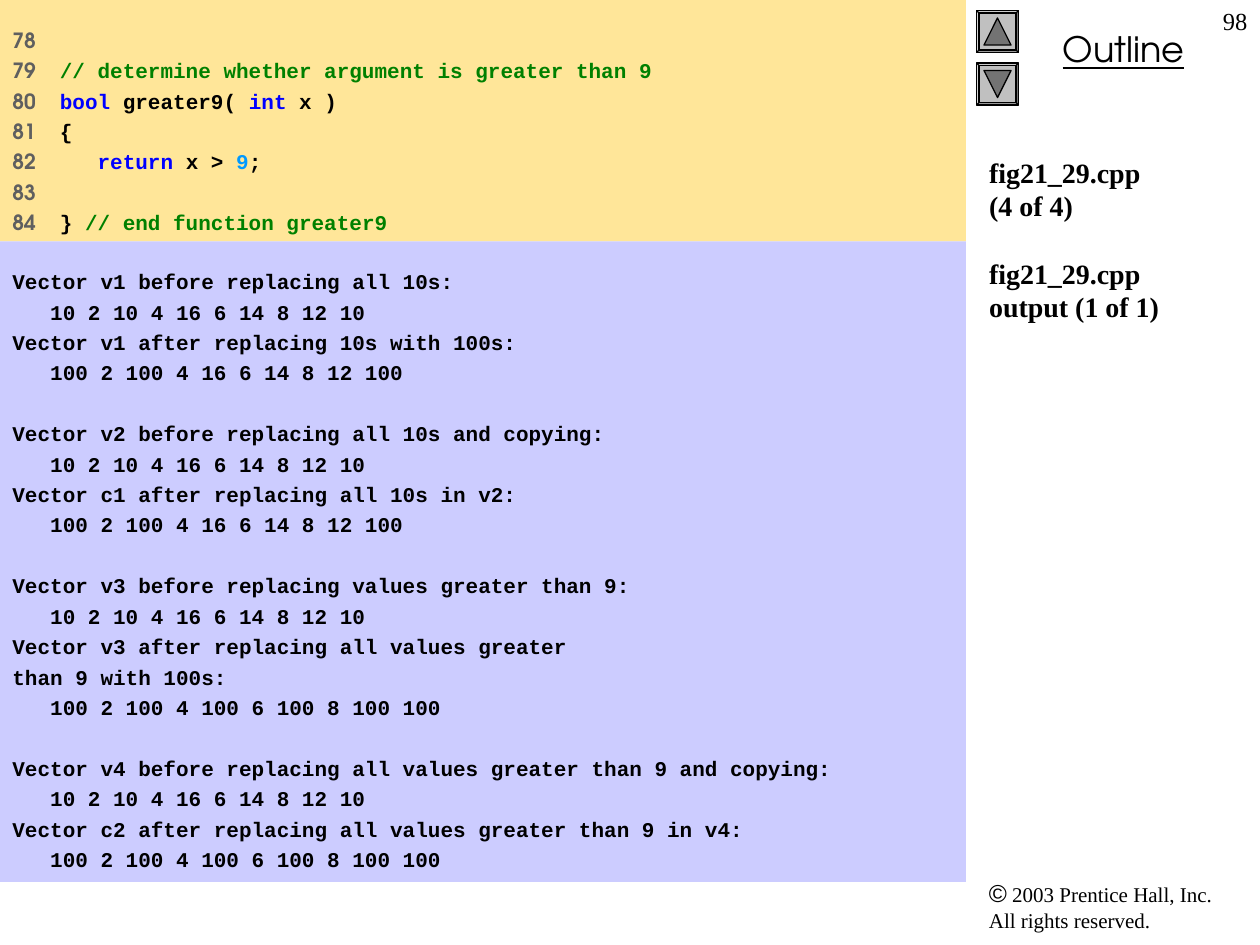
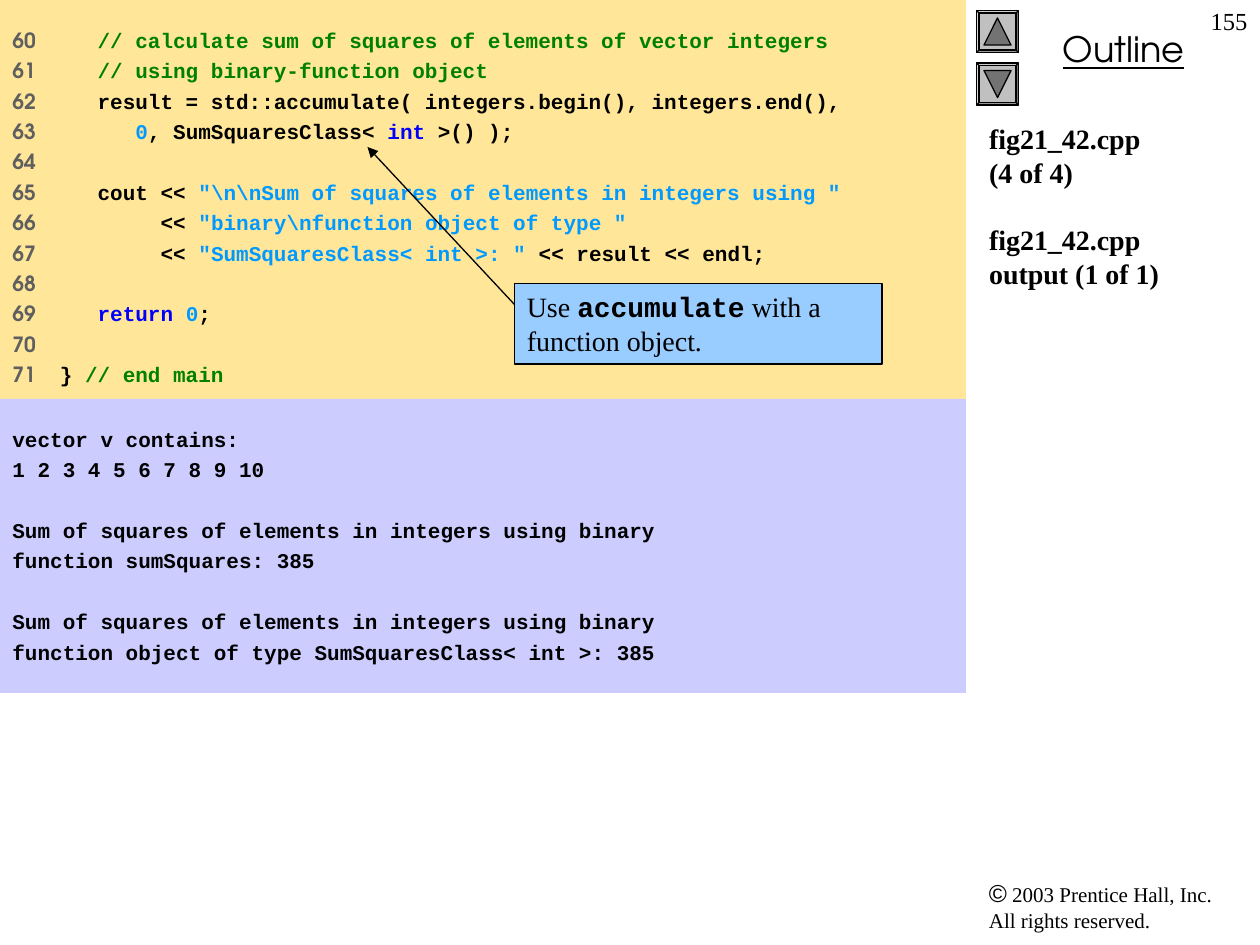
from dataclasses import dataclass

from lxml import etree
from pptx import Presentation
from pptx.dml.color import RGBColor
from pptx.enum.shapes import MSO_CONNECTOR, MSO_SHAPE
from pptx.enum.text import MSO_ANCHOR, MSO_AUTO_SIZE, PP_ALIGN
from pptx.oxml.ns import qn
from pptx.util import Pt

RECT = MSO_SHAPE.RECTANGLE
BEVEL = MSO_SHAPE.BEVEL
ARROW = MSO_SHAPE.ISOSCELES_TRIANGLE
LINE = MSO_CONNECTOR.STRAIGHT
TOP = MSO_ANCHOR.TOP
FIXED = MSO_AUTO_SIZE.NONE
LEFT, CENTER, RIGHT = PP_ALIGN.LEFT, PP_ALIGN.CENTER, PP_ALIGN.RIGHT


@dataclass(frozen=True)
class Theme:
    serif: str = "Times New Roman"
    sans: str = "Arial"
    mono: str = "Courier New"
    round: str = "TeX Gyre Adventor"
    black: str = "000000"
    number: str = "5F5F5F"
    note: str = "008000"
    key: str = "0000FF"
    value: str = "0099FF"
    code: str = "FFE699"
    output: str = "CCCCFF"
    callout: str = "99CCFF"
    button: str = "C0C0C0"
    arrow: str = "737373"
    small: float = 12
    mid: float = 14
    large: float = 16
    head: float = 20
    pitch: float = 17.4
    lead: float = 19.2
    stroke: float = 0.75
    panel: float = 552
    side: float = 558


T = Theme()


def style(run, face, size, color=T.black, bold=False):
    font = run.font
    font.name = face
    font.size = Pt(size)
    font.bold = bold
    font.color.rgb = RGBColor.from_string(color)
    return font


def add_run(para, text, *look):
    run = para.add_run()
    run.text = text
    return style(run, *look)


def setup(frame, edge=3.6):
    frame.word_wrap = True
    frame.auto_size = FIXED
    frame.vertical_anchor = TOP
    frame.margin_left = frame.margin_right = Pt(7.2)
    frame.margin_top = frame.margin_bottom = Pt(edge)
    return frame


def add_label(slide, box, align=LEFT):
    label = slide.shapes.add_textbox(*map(Pt, box))
    para = setup(label.text_frame).paragraphs[0]
    para.alignment = align
    return para


def add_block(slide, kind, box, fill, line=None):
    block = slide.shapes.add_shape(kind, *map(Pt, box))
    block.shadow.inherit = False
    block.fill.solid()
    block.fill.fore_color.rgb = RGBColor.from_string(fill)
    if line:
        block.line.color.rgb = RGBColor.from_string(line)
        block.line.width = Pt(T.stroke)
    else:
        block.line.fill.background()
    return block


def add_panel(slide, top, height, fill):
    panel = add_block(slide, RECT, (0, top, T.panel, height), fill)
    return setup(panel.text_frame, 12.6)


def fill_groups(frame, groups, face, size, pitch):
    frame.text = "\n".join(groups)
    starts = set()
    count = 0
    for group in groups:
        starts.add(count)
        count += len(group.split("\n"))
    for index, para in enumerate(frame.paragraphs):
        para.alignment = LEFT
        para.line_spacing = Pt(pitch)
        para.space_before = Pt(pitch if index and index in starts else 0)
        for run in para.runs:
            style(run, face, size, T.black, True)


def add_tab(para, place):
    props = para._p.get_or_add_pPr()
    tabs = etree.SubElement(props, qn("a:tabLst"))
    etree.SubElement(tabs, qn("a:tab"), pos=str(Pt(place)), algn="l")


def add_code(slide, height, first, lines):
    frame = add_panel(slide, 0, height, T.code)
    for index, parts in enumerate(lines):
        para = frame.add_paragraph() if index else frame.paragraphs[0]
        para.alignment = LEFT
        para.line_spacing = Pt(T.pitch)
        add_tab(para, 27.1)
        mark = f"{first + index}" + ("\t" if parts else "")
        add_run(para, mark, T.round, T.small, T.number, True)
        for text, color in parts:
            add_run(para, text, T.mono, T.small, color, True)


def add_output(slide, top, height, groups):
    frame = add_panel(slide, top, height, T.output)
    fill_groups(frame, groups, T.mono, T.small, T.pitch)


def add_title(slide, top, groups):
    title = slide.shapes.title
    title.left, title.top = Pt(T.side), Pt(top)
    title.width, title.height = Pt(162), Pt(378)
    fill_groups(setup(title.text_frame), groups, T.serif, T.large, T.lead)


def add_button(slide, top, turn):
    block = add_block(slide, BEVEL, (T.side, top, 24, 24), T.button, T.black)
    block.adjustments[0] = 0.06
    box = (T.side + 4.25, top + 4.25, 15.5, 15.5)
    add_block(slide, ARROW, box, T.arrow, T.black).rotation = turn


def add_frame(slide, page):
    para = add_label(slide, (T.side, 498, 156, 39))
    add_run(para, "©", T.sans, T.mid)
    for part in (" 2003 Prentice Hall, Inc.", "All rights reserved."):
        add_run(para, part, T.serif, T.small)
        if part.startswith(" "):
            para.add_line_break()
    para = add_label(slide, (564, 12, 156, 32), CENTER)
    add_run(para, "Outline", T.round, T.head).underline = True
    add_button(slide, 6, 0)
    add_button(slide, 36, 180)
    para = add_label(slide, (684, 0, 36, 36), RIGHT)
    add_run(para, page, T.serif, T.mid)


def add_callout(slide, box, parts, start, end):
    block = add_block(slide, RECT, box, T.callout, T.black)
    para = setup(block.text_frame).paragraphs[0]
    para.alignment = LEFT
    para.line_spacing = Pt(T.lead)
    for text, face, bold in parts:
        add_run(para, text, face, T.large, T.black, bold)
    line = slide.shapes.add_connector(LINE, *map(Pt, start + end))
    line.line.color.rgb = RGBColor.from_string(T.black)
    line.line.width = Pt(T.stroke)
    props = line._element.spPr
    etree.SubElement(props.find(qn("a:ln")), qn("a:tailEnd"), type="triangle")
    etree.SubElement(props, qn("a:effectLst"))


def add_page(deck, page, name, top):
    slide = deck.slides.add_slide(deck.slide_layouts[5])
    add_title(slide, top, [f"{name}\n(4 of 4)", f"{name}\noutput (1 of 1)"])
    add_frame(slide, page)
    return slide


def build_replace(deck):
    slide = add_page(deck, "98", "fig21_29.cpp", 85.2)
    add_code(slide, 138, 78, [
        [],
        [("// determine whether argument is greater than 9", T.note)],
        [("bool", T.key), (" greater9( ", T.black), ("int", T.key),
         (" x )", T.black)],
        [("{", T.black)],
        [("   return", T.key), (" x > ", T.black), ("9", T.value),
         (";", T.black)],
        [],
        [("} ", T.black), ("// end function greater9", T.note)],
    ])
    before = "   10 2 10 4 16 6 14 8 12 10"
    tens = "   100 2 100 4 16 6 14 8 12 100"
    nines = "   100 2 100 4 100 6 100 8 100 100"
    add_output(slide, 138, 366, [
        f"Vector v1 before replacing all 10s:\n{before}\n"
        f"Vector v1 after replacing 10s with 100s:\n{tens}",
        f"Vector v2 before replacing all 10s and copying:\n{before}\n"
        f"Vector c1 after replacing all 10s in v2:\n{tens}",
        f"Vector v3 before replacing values greater than 9:\n{before}\n"
        "Vector v3 after replacing all values greater\n"
        f"than 9 with 100s:\n{nines}",
        "Vector v4 before replacing all values greater than 9 and copying:\n"
        f"{before}\n"
        f"Vector c2 after replacing all values greater than 9 in v4:\n{nines}",
    ])


def build_sum(deck):
    slide = add_page(deck, "155", "fig21_42.cpp", 66)
    add_code(slide, 246, 60, [
        [("   // calculate sum of squares of elements of vector integers",
          T.note)],
        [("   // using binary-function object", T.note)],
        [("   result = std::accumulate( integers.begin(), integers.end(),",
          T.black)],
        [("      0", T.value), (", SumSquaresClass< ", T.black),
         ("int", T.key), (" >() );", T.black)],
        [],
        [("   cout << ", T.black),
         (r'"\n\nSum of squares of elements in integers using "', T.value)],
        [("        << ", T.black),
         (r'"binary\nfunction object of type "', T.value)],
        [("        << ", T.black), ('"SumSquaresClass< int >: "', T.value),
         (" << result << endl;", T.black)],
        [],
        [("   return ", T.key), ("0", T.value), (";", T.black)],
        [],
        [("} ", T.black), ("// end main", T.note)],
    ])
    total = "Sum of squares of elements in integers using binary"
    add_output(slide, 228, 168, [
        "vector v contains:\n1 2 3 4 5 6 7 8 9 10",
        f"{total}\nfunction sumSquares: 385",
        f"{total}\nfunction object of type SumSquaresClass< int >: 385",
    ])
    add_callout(slide, (294, 162, 210, 46), [
        ("Use ", T.serif, False),
        ("accumulate", T.mono, True),
        (" with a function object.", T.serif, False),
    ], (294, 174), (210, 84))


def main():
    deck = Presentation()
    deck.slide_width, deck.slide_height = Pt(720), Pt(540)
    build_replace(deck)
    build_sum(deck)
    deck.save("out.pptx")


if __name__ == "__main__":
    main()
